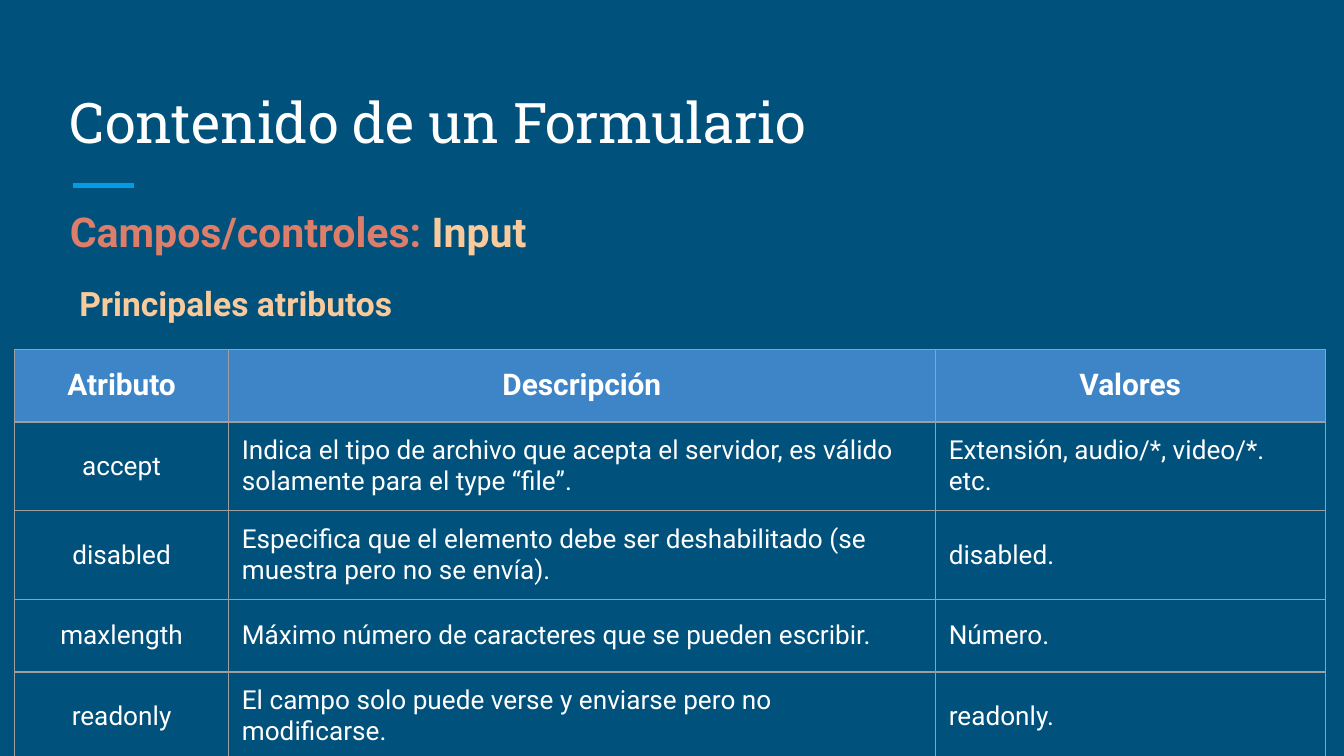
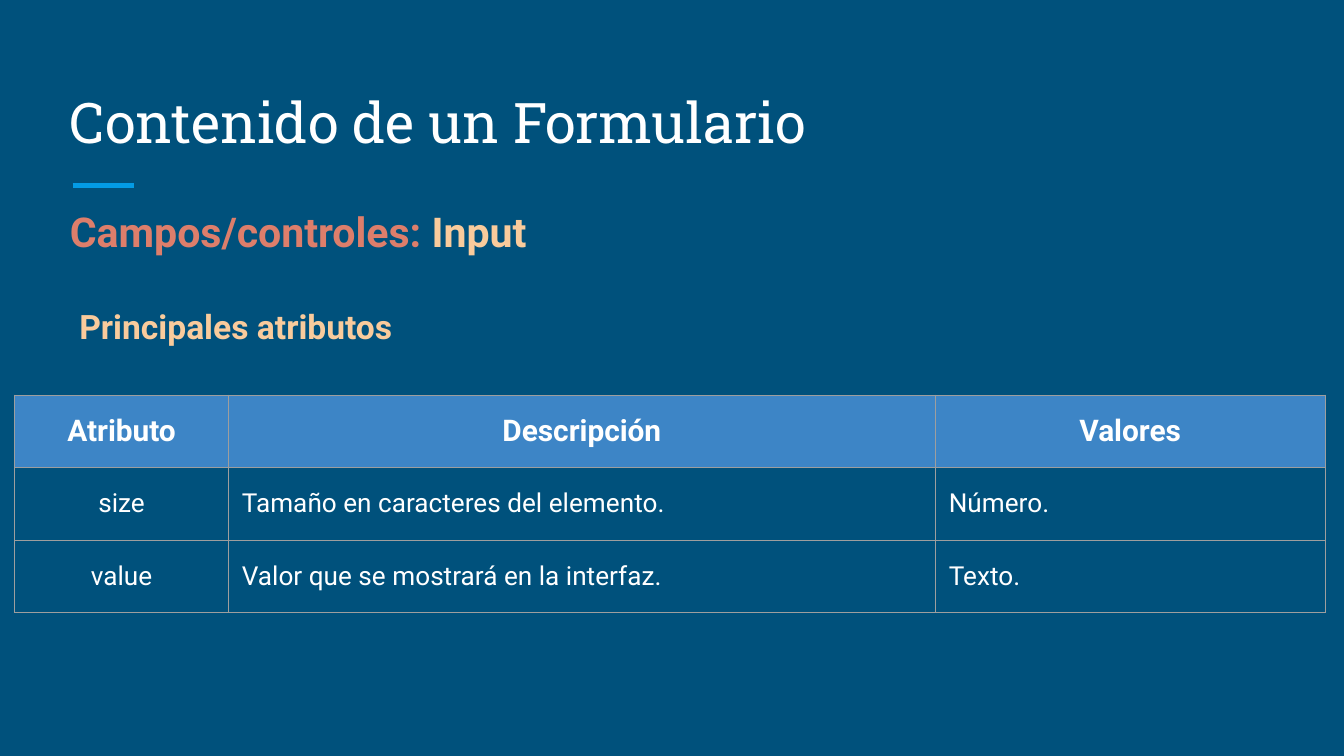
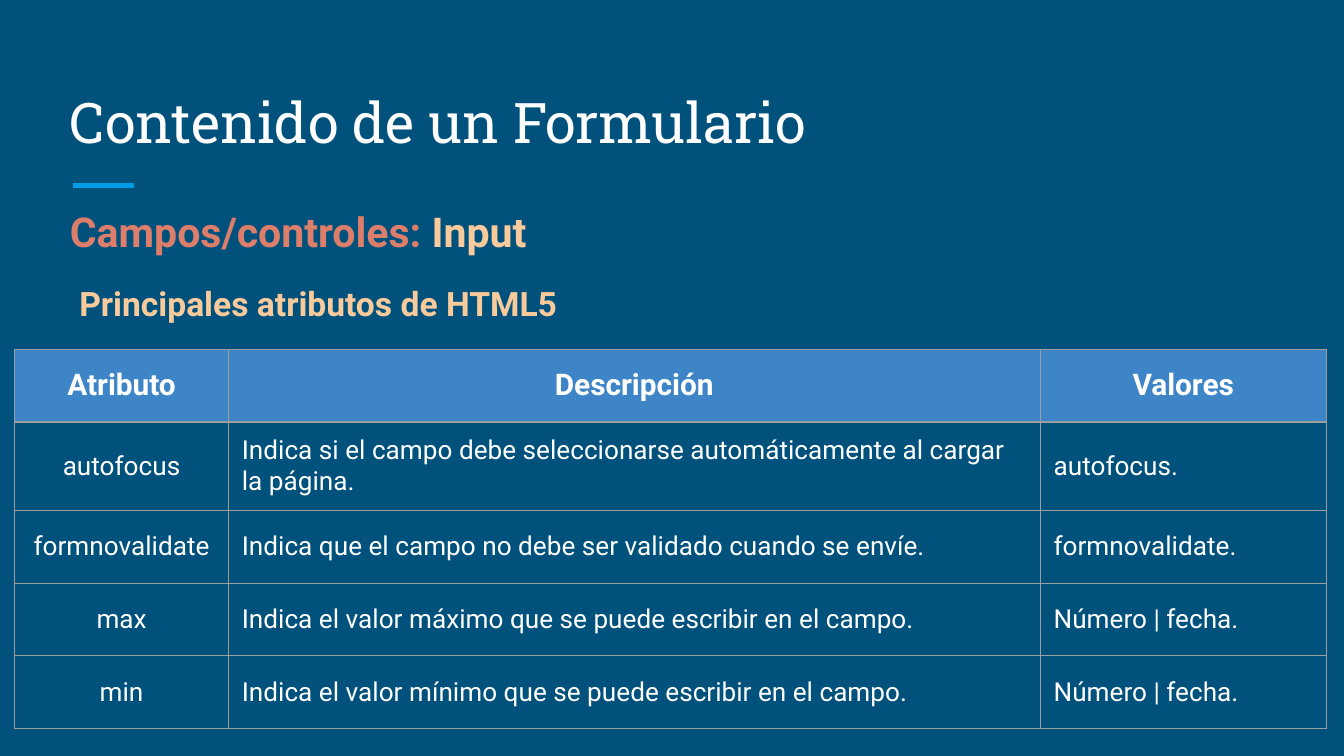
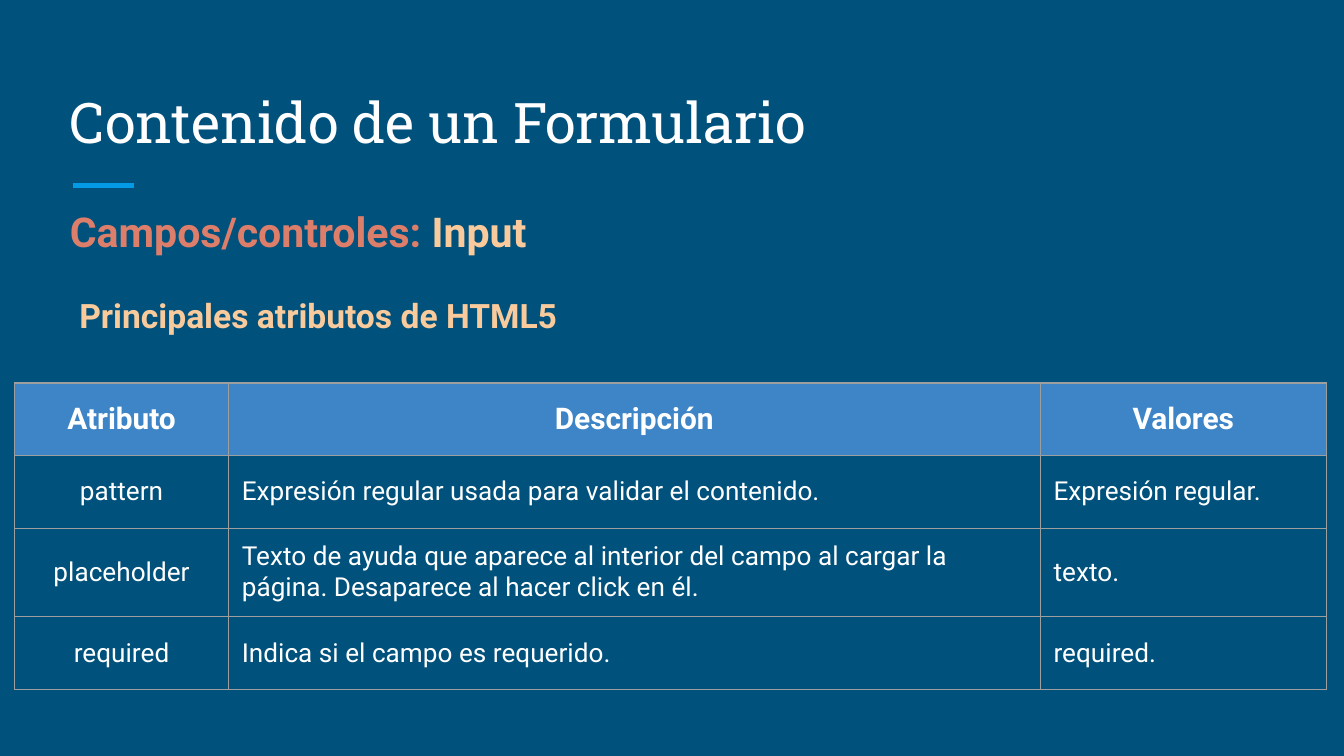
from lxml.etree import SubElement
from pptx import Presentation
from pptx.dml.color import RGBColor
from pptx.enum.shapes import MSO_CONNECTOR
from pptx.enum.text import MSO_ANCHOR, MSO_AUTO_SIZE, PP_ALIGN
from pptx.oxml.ns import qn
from pptx.util import Inches, Pt

# Shared colours, fonts and measures
BACKGROUND = RGBColor(0x00, 0x51, 0x7C)
ACCENT = RGBColor(0x03, 0x9B, 0xE5)
WHITE = RGBColor(0xFF, 0xFF, 0xFF)
CORAL = RGBColor(0xDD, 0x7E, 0x6B)
PEACH = RGBColor(0xF9, 0xCB, 0x9C)
HEADER_BLUE = RGBColor(0x3D, 0x85, 0xC6)
BORDER_GREY = RGBColor(0x9E, 0x9E, 0x9E)
TITLE_FONT = "Roboto Slab"
BODY_FONT = "Roboto"
INSET = Inches(0.1)
ROW_HEIGHT = 0.54

TITLE_BOX = (0.42, 0.5, 9.15, 0.75)
FIELD_BOX = (0.42, 1.38, 9.15, 0.55)
HEADER = ("Atributo", "Descripción", "Valores")
WIDE_VALUES = (1.59, 5.26, 2.9)
NARROW_VALUES = (1.59, 6.04, 2.13)

# Each slide: subheading, its top, table top, column widths, rows
SLIDES = [
    ("Principales atributos", 1.96, 2.6, WIDE_VALUES, [
        ("accept", "Indica el tipo de archivo que acepta el servidor, es válido "
                   "solamente para el type “file”.", "Extensión, audio/*, video/*. etc."),
        ("disabled", "Especifica que el elemento debe ser deshabilitado "
                     "(se muestra pero no se envía).", "disabled."),
        ("maxlength", "Máximo número de caracteres que se pueden escribir.", "Número."),
        ("readonly", "El campo solo puede verse y enviarse pero no modificarse.", "readonly."),
    ]),
    ("Principales atributos", 2.13, 2.94, WIDE_VALUES, [
        ("size", "Tamaño en caracteres del elemento.", "Número."),
        ("value", "Valor que se mostrará en la interfaz.", "Texto."),
    ]),
    ("Principales atributos de HTML5", 1.96, 2.6, NARROW_VALUES, [
        ("autofocus", "Indica si el campo debe seleccionarse automáticamente "
                      "al cargar la página.", "autofocus."),
        ("formnovalidate", "Indica que el campo no debe ser validado cuando se envíe.",
         "formnovalidate."),
        ("max", "Indica el valor máximo que se puede escribir en el campo.", "Número | fecha."),
        ("min", "Indica el valor mínimo que se puede escribir en el campo.", "Número | fecha."),
    ]),
    ("Principales atributos de HTML5", 2.05, 2.85, NARROW_VALUES, [
        ("pattern", "Expresión regular usada para validar el contenido.", "Expresión regular."),
        ("placeholder", "Texto de ayuda que aparece al interior del campo al cargar la página. "
                        "Desaparece al hacer click en él.", "texto."),
        ("required", "Indica si el campo es requerido.", "required."),
    ]),
]


def set_insets(target):
    target.margin_left = target.margin_right = INSET
    target.margin_top = target.margin_bottom = INSET


def set_font(font, name, size, color, bold=False):
    font.name, font.size, font.bold = name, Pt(size), bold
    font.color.rgb = color


def fill_placeholder(placeholder, box, runs, font_name, size, bold, anchor):
    """Place a placeholder in its box and write one line of coloured runs."""
    placeholder.left, placeholder.top, placeholder.width, placeholder.height = map(Inches, box)
    frame = placeholder.text_frame
    frame.word_wrap = True
    frame.auto_size = MSO_AUTO_SIZE.NONE
    frame.vertical_anchor = anchor
    set_insets(frame)
    paragraph = frame.paragraphs[0]
    paragraph.alignment = PP_ALIGN.LEFT
    paragraph.space_before = Pt(0)
    set_font(paragraph.font, font_name, size, runs[0][1], bold)
    for text, color in runs:
        run = paragraph.add_run()
        run.text = text
        if len(runs) > 1:
            run.font.color.rgb = color
    return paragraph


def add_title(slide, box):
    left, top, width, height = box
    fill_placeholder(slide.shapes.title, box, [("Contenido de un Formulario", WHITE)],
                     TITLE_FONT, 30, False, MSO_ANCHOR.BOTTOM)
    # Short accent line under the title
    line_left, line_top = left + 0.12, top + height + 0.13
    line = slide.shapes.add_connector(
        MSO_CONNECTOR.STRAIGHT, Inches(line_left), Inches(line_top),
        Inches(line_left + 0.46), Inches(line_top))
    line.line.color.rgb = ACCENT
    line.line.width = Pt(3)
    SubElement(line._element.spPr, qn("a:effectLst"))


def add_heading(placeholder, box, runs, size, space_after):
    paragraph = fill_placeholder(placeholder, box, runs, BODY_FONT, size, True, MSO_ANCHOR.TOP)
    paragraph.line_spacing = 1.15
    paragraph.space_after = Pt(space_after)
    properties = paragraph._p.get_or_add_pPr()
    properties.set("marL", "0")
    properties.set("indent", "0")
    # The bullet setting must stand before the default run properties
    bullet = SubElement(properties, qn("a:buNone"))
    properties.find(qn("a:defRPr")).addprevious(bullet)


def add_borders(cell):
    properties = cell._tc.get_or_add_tcPr()
    for side in ("lnL", "lnR", "lnT", "lnB"):
        line = SubElement(properties, qn(f"a:{side}"), w=str(Pt(0.75)))
        fill = SubElement(line, qn("a:solidFill"))
        SubElement(fill, qn("a:srgbClr"), val=str(BORDER_GREY))


def format_cell(cell, text, is_header, is_centered):
    cell.text = text
    cell.vertical_anchor = MSO_ANCHOR.MIDDLE
    set_insets(cell)
    add_borders(cell)
    if is_header:
        cell.fill.solid()
        cell.fill.fore_color.rgb = HEADER_BLUE
    else:
        cell.fill.background()
    paragraph = cell.text_frame.paragraphs[0]
    paragraph.alignment = PP_ALIGN.CENTER if is_centered else PP_ALIGN.LEFT
    set_font(paragraph.font, BODY_FONT, 16 if is_header else 14, WHITE, is_header)


def add_attribute_table(slide, left, top, widths, rows):
    contents = [HEADER, *rows]
    table = slide.shapes.add_table(
        len(contents), len(widths), Inches(left), Inches(top),
        Inches(sum(widths)), Inches(ROW_HEIGHT * len(contents))).table
    table.horz_banding = False
    for column, width in zip(table.columns, widths):
        column.width = Inches(width)
    for row_index, texts in enumerate(contents):
        table.rows[row_index].height = Inches(ROW_HEIGHT)
        for column_index, text in enumerate(texts):
            is_header = row_index == 0
            format_cell(table.cell(row_index, column_index), text, is_header,
                        is_header or column_index == 0)


def add_attribute_slide(presentation, subheading, subheading_top, table_top, widths, rows):
    slide = presentation.slides.add_slide(presentation.slide_layouts.get_by_name("Two Content"))
    add_title(slide, TITLE_BOX)
    add_heading(slide.placeholders[1], FIELD_BOX,
                [("Campos/controles: ", CORAL), ("Input", PEACH)], 22, 16)
    add_heading(slide.placeholders[2], (0.49, subheading_top, 9.26, 0.59),
                [(subheading, PEACH)], 18, 10)
    add_attribute_table(slide, 0.11, table_top, widths, rows)


def main():
    presentation = Presentation()
    # Widescreen, 16:9
    presentation.slide_width = Inches(10)
    presentation.slide_height = Inches(10 * 9 / 16)
    background = presentation.slide_master.background.fill
    background.solid()
    background.fore_color.rgb = BACKGROUND
    for content in SLIDES:
        add_attribute_slide(presentation, *content)
    presentation.save("out.pptx")


if __name__ == "__main__":
    main()
